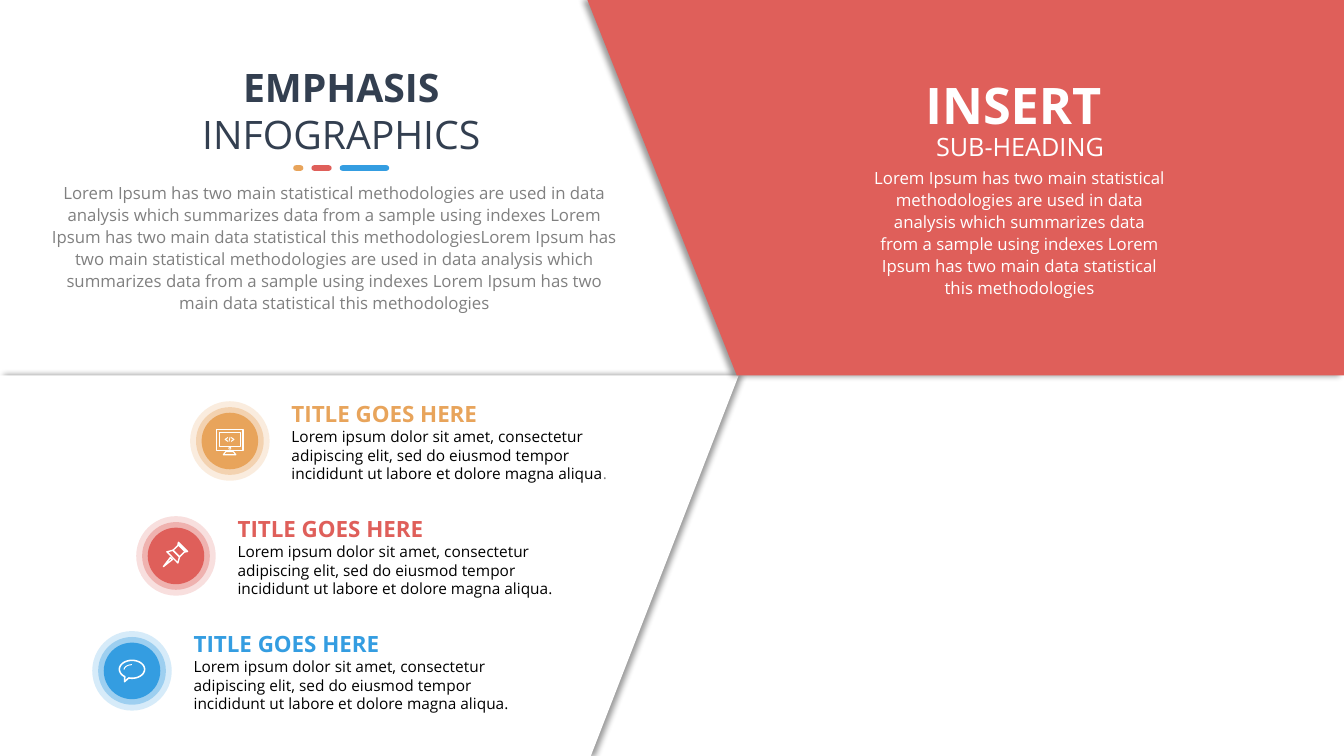
"""Builds the Emphasis Infographics slide with two panels and three icon items."""
from copy import deepcopy
from math import cos, radians, sin

from lxml.etree import SubElement
from pptx import Presentation
from pptx.dml.color import RGBColor
from pptx.enum.shapes import MSO_SHAPE as Preset
from pptx.enum.text import MSO_ANCHOR as Anchor, PP_ALIGN as Align
from pptx.oxml.ns import qn
from pptx.util import Pt

FONT = "Open Sans"
WHITE, BLACK, GREY, NAVY = "FFFFFF", "000000", "808080", "333F50"
ORANGE, RED, BLUE = "E8A45B", "DF5F5A", "349DE1"

SENTENCE = ("Lorem Ipsum has two main statistical methodologies are used in data analysis which "
            "summarizes data from a sample using indexes Lorem Ipsum has two main data "
            "statistical this methodologies")
ITEM_TITLE = "TITLE GOES HERE"
ITEM_TEXT = ("Lorem ipsum dolor sit amet, consectetur adipiscing elit, sed do eiusmod tempor "
             "incididunt ut labore et dolore magna aliqua")

PANELS = [
    (WHITE, 0, [(0, 268.2), (527.6, 268.2), (422, 540), (0, 540)]),
    (RED, 180, [(419.6, 0), (960, 0), (960, 268.2), (526.3, 268.2)]),
]
BARS = [(ORANGE, 7.2), (RED, 14.4), (BLUE, 35.3)]
RINGS = [(28.4, 20), (24.2, 35), (20.2, 100)]


def arc(center_x, center_y, radius_x, radius_y, start, end):
    return [(center_x + radius_x * cos(radians(angle)), center_y + radius_y * sin(radians(angle)))
            for angle in range(start, end + 1, 5)]


MONITOR = [
    (True, 1.1, [(-9.4, -8.3), (9.4, -8.3), (9.4, 6.9), (-9.4, 6.9)]),
    (True, 0.6, [(-7.4, -6), (7.2, -6), (7.2, 3.6), (-7.4, 3.6)]),
    (True, 0.8, [(-2.9, 7.6), (2.5, 7.6), (4.3, 9.8), (-4.7, 9.8)]),
    (True, 0.6, arc(0, 5.2, 0.7, 0.7, 0, 355)),
    (False, 0.7, [(-1.4, -2.5), (-3.4, -1.1), (-1.4, 0.3)]),
    (False, 0.7, [(0.9, -2.5), (2.9, -1.1), (0.9, 0.3)]),
    (False, 0.6, [(0.2, -2.9), (-0.6, 0.5)]),
]
PIN = [
    (True, 1, [(1.8, -9.7), (8.3, -3.2), (6.8, -2.9), (1.4, -8.3)]),
    (True, 1, [(1.8, -7.9), (6.5, -3.2), (2.5, 0.7), (-2.2, -4)]),
    (True, 1, [(-6.5, -2.9), (-2.2, -4), (2.5, 0.7), (1.4, 5)]),
    (True, 1, [(-4, 1.1), (-9, 7.6), (-2.5, 2.5)]),
]
BUBBLE = [
    (True, 1.1, arc(0, -1.1, 9, 6.4, 125, 465) + [(-5.3, 7.7)]),
    (False, 0.7, arc(0, -0.9, 5.6, 3.5, 180, 270)),
]
ITEMS = [
    (164.2, ORANGE, MONITOR, GREY),
    (125.7, RED, PIN, BLACK),
    (94.3, BLUE, BUBBLE, BLACK),
]


def paint(fill, color, opacity=100):
    fill.solid()
    fill.fore_color.rgb = RGBColor.from_string(color)
    if opacity < 100:
        node = fill._xPr.find(".//" + qn("a:srgbClr"))
        SubElement(node, qn("a:alpha"), val=str(opacity * 1000))


def add_preset(slide, preset, left, top, width, height, color, opacity=100):
    shape = slide.shapes.add_shape(preset, Pt(left), Pt(top), Pt(width), Pt(height))
    shape.shadow.inherit = False
    paint(shape.fill, color, opacity)
    shape.line.fill.background()
    return shape


def add_outline(slide, points, closed=True):
    (first_x, first_y), *others = [(Pt(x), Pt(y)) for x, y in points]
    builder = slide.shapes.build_freeform(first_x, first_y)
    builder.add_line_segments(others, close=closed)
    shape = builder.convert_to_shape()
    shape.shadow.inherit = False
    return shape


def add_panel(slide, color, direction, points):
    shape = add_outline(slide, points)
    paint(shape.fill, color)
    shape.line.fill.background()
    effects = shape._element.spPr.find(qn("a:effectLst"))
    shadow = SubElement(effects, qn("a:outerShdw"), blurRad=str(Pt(4)), dist=str(Pt(3)),
                        dir=str(direction * 60000), algn="ctr", rotWithShape="0")
    SubElement(SubElement(shadow, qn("a:srgbClr"), val=BLACK), qn("a:alpha"), val="40000")


def add_icon(slide, center_x, center_y, strokes):
    for closed, width, points in strokes:
        shape = add_outline(slide, [(center_x + x, center_y + y) for x, y in points], closed)
        shape.fill.background()
        paint(shape.line.fill, WHITE)
        shape.line.width = Pt(width)


def add_text(slide, box, lines, insets=(7.2, 3.6), align=Align.CENTER, spacing=None,
             wrap=True, anchor=Anchor.TOP, after=None):
    """Each line is a list of (text, size, color, bold) runs; lines are joined by breaks."""
    frame = slide.shapes.add_textbox(*[Pt(value) for value in box]).text_frame
    frame.word_wrap = wrap
    frame.vertical_anchor = anchor
    frame.margin_left = frame.margin_right = Pt(insets[0])
    frame.margin_top = frame.margin_bottom = Pt(insets[1])
    paragraph = frame.paragraphs[0]
    paragraph.alignment = align
    if spacing:
        paragraph.line_spacing = spacing
    if after:
        paragraph.space_after = Pt(after)
    for number, line in enumerate(lines):
        if number:
            paragraph.add_line_break()
            paragraph._p[-1].append(deepcopy(run._r.rPr))
        for text, size, color, bold in line:
            run = paragraph.add_run()
            run.text = text
            run.font.name = FONT
            run.font.size = Pt(size)
            run.font.bold = bold
            paint(run.font.fill, color)


def add_item(slide, center_x, center_y, color, strokes, stop_color):
    for radius, opacity in RINGS:
        add_preset(slide, Preset.OVAL, center_x - radius, center_y - radius,
                   2 * radius, 2 * radius, color, opacity)
    add_icon(slide, center_x, center_y, strokes)
    add_text(slide, (center_x + 44, center_y - 29, 241.2, 59),
             [[(ITEM_TITLE, 16, color, True)],
              [(ITEM_TEXT, 11, BLACK, False), (".", 11, stop_color, False)]],
             insets=(0, 0), align=Align.LEFT, anchor=Anchor.MIDDLE, after=12)


def main():
    presentation = Presentation()
    presentation.slide_width, presentation.slide_height = Pt(960), Pt(540)
    slide = presentation.slides.add_slide(presentation.slide_layouts[6])
    for panel in PANELS:
        add_panel(slide, *panel)
    for index, (center_x, color, strokes, stop_color) in enumerate(ITEMS):
        add_item(slide, center_x, 315 + 82.1 * index, color, strokes, stop_color)

    add_text(slide, (28.1, 124.6, 421.9, 121), [[(SENTENCE + SENTENCE, 12, GREY, False)]],
             insets=(8.64, 4.32), spacing=1.1)
    add_text(slide, (136.1, 41.8, 215.3, 74.9),
             [[("EMPHASIS", 28, NAVY, True)], [("INFOGRAPHICS", 28, NAVY, False)]], wrap=False)
    left = 209.5
    for color, width in BARS:
        bar = add_preset(slide, Preset.ROUNDED_RECTANGLE, left, 118, width, 4, color)
        bar.adjustments[0] = 0.5
        left += width + 5.8

    add_text(slide, (615.6, 113.8, 225.4, 103.7), [[(SENTENCE, 12, WHITE, False)]],
             insets=(8.64, 4.32), spacing=1.1)
    add_text(slide, (631.4, 54, 194.4, 89.3),
             [[("INSERT ", 36, WHITE, True)], [("SUB-HEADING", 18, WHITE, False)]], spacing=0.9)
    presentation.save("out.pptx")


if __name__ == "__main__":
    main()
